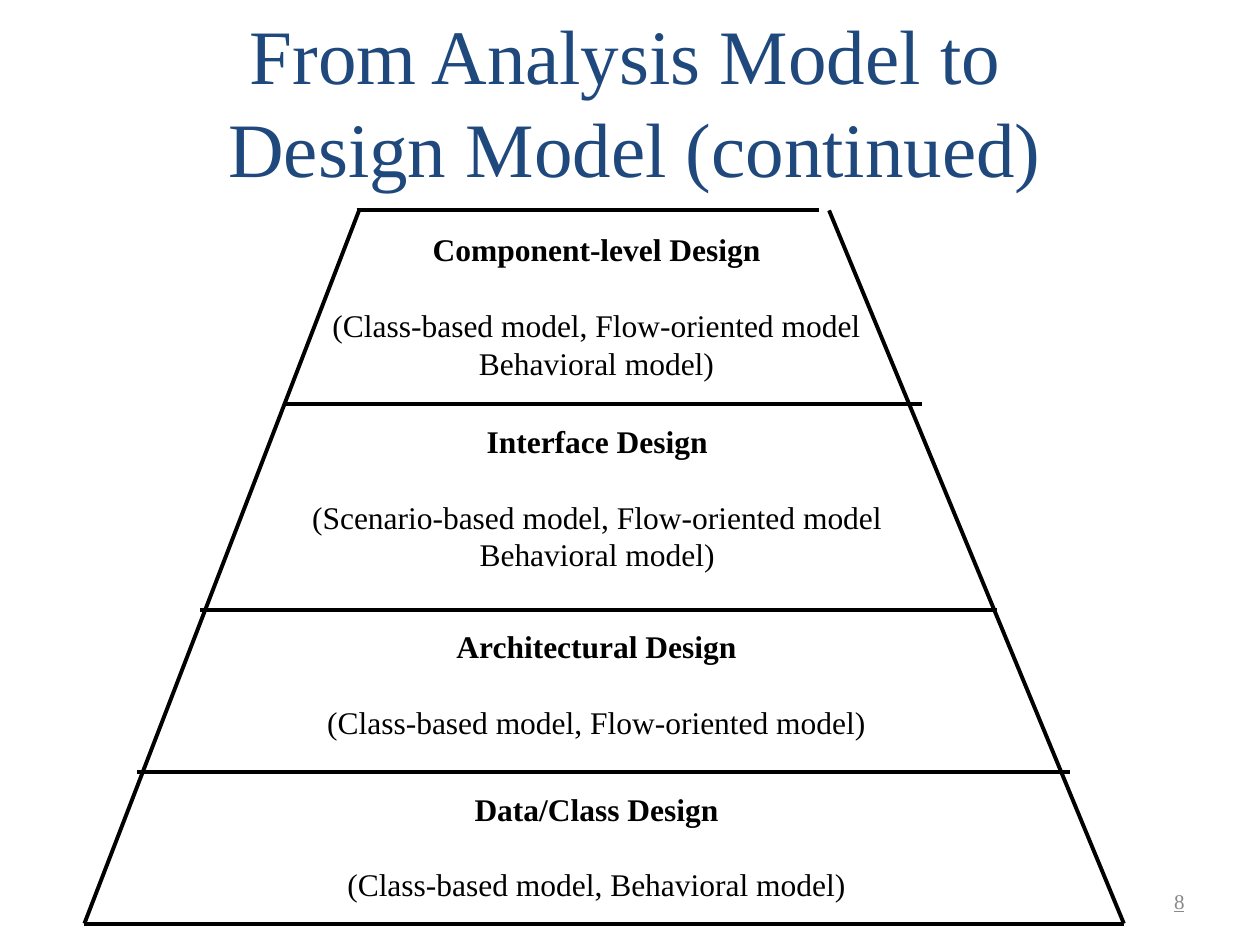
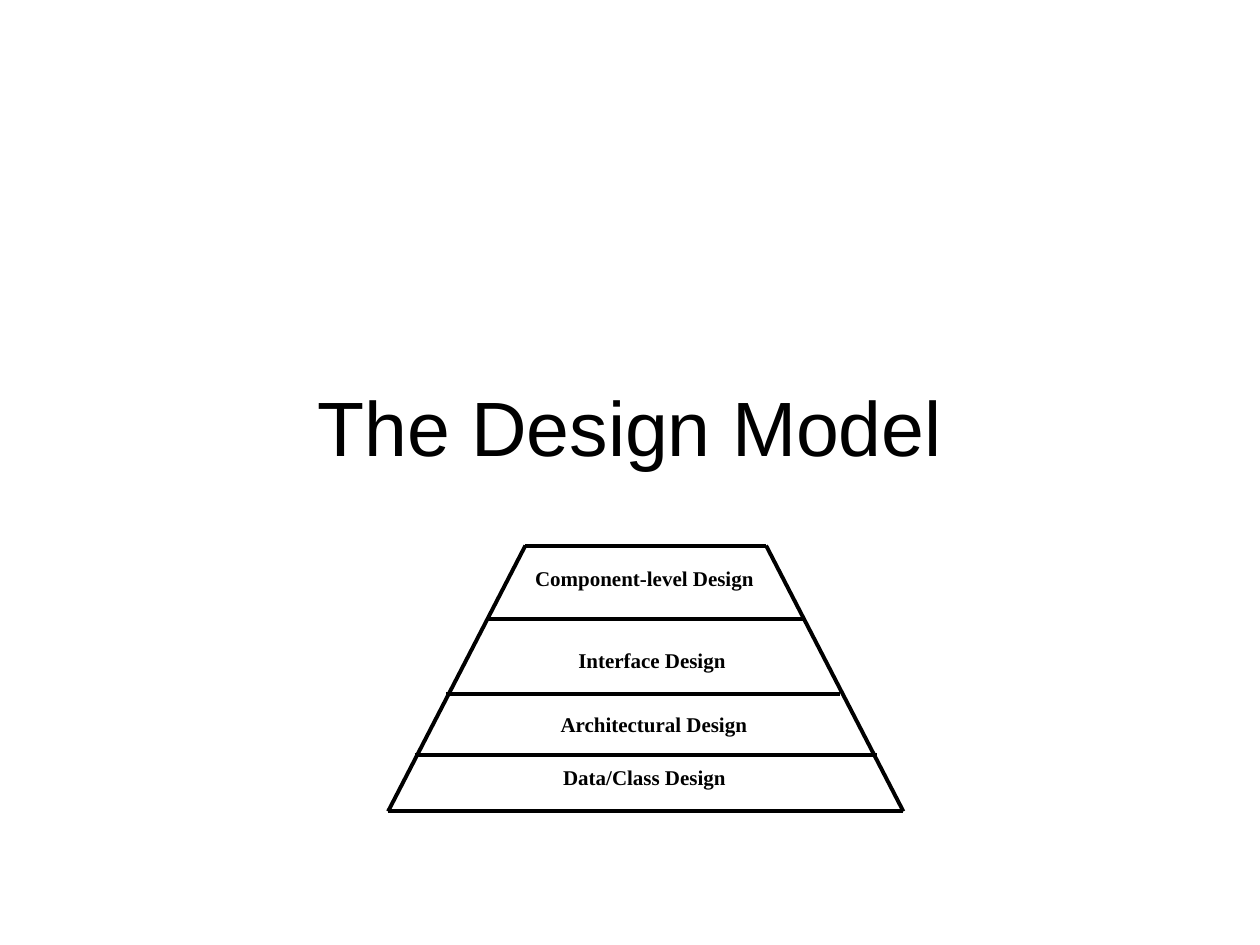
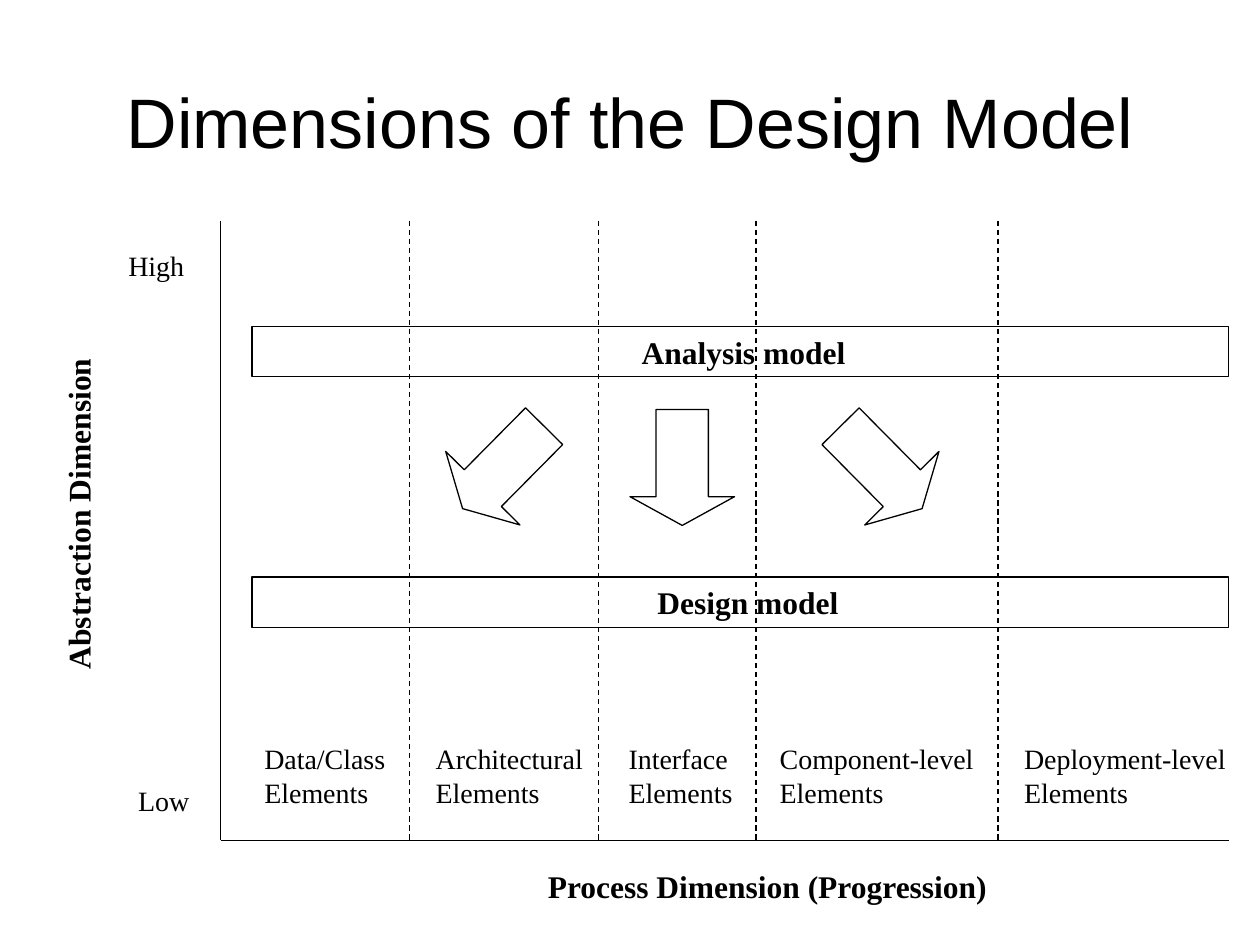
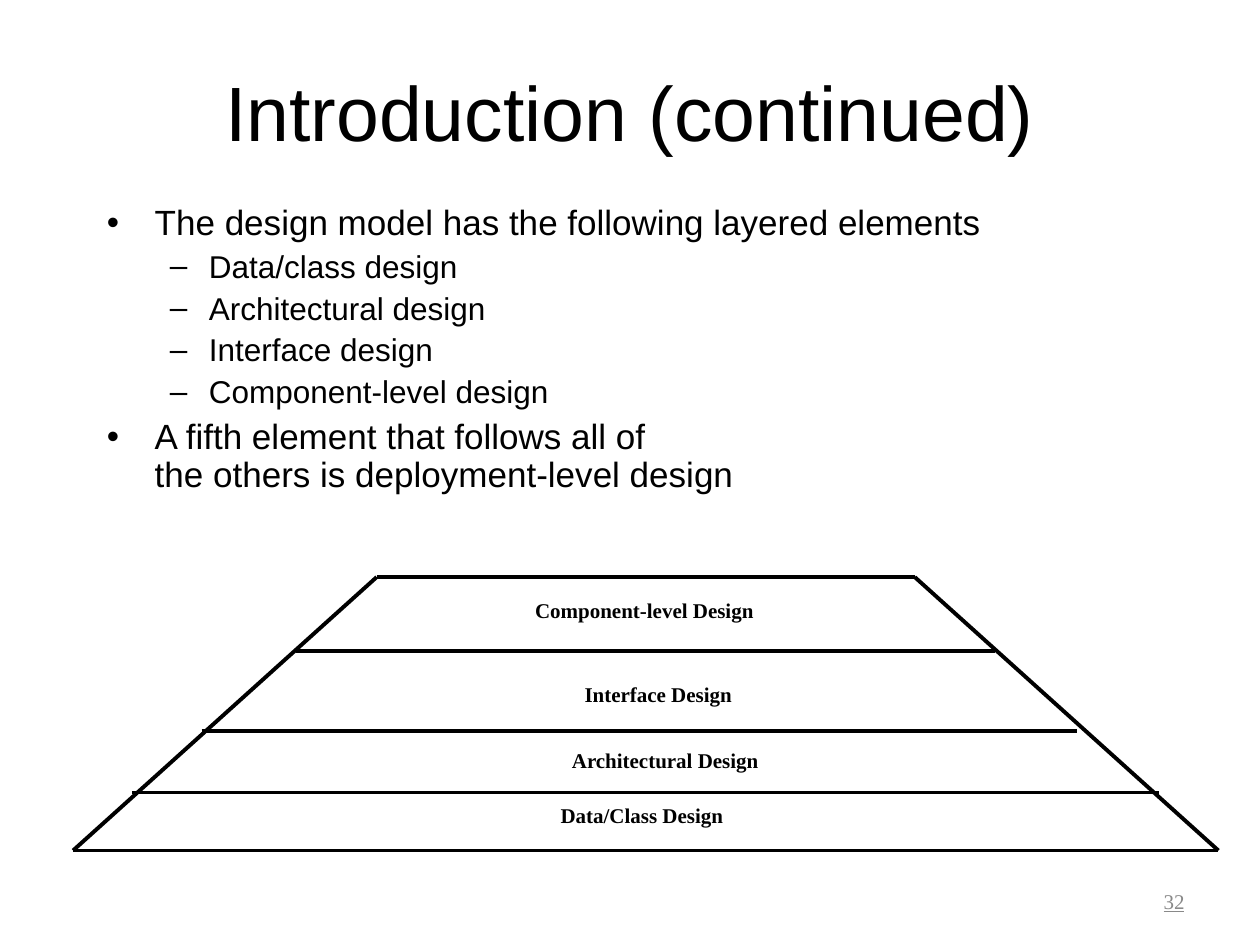
from pptx import Presentation
from pptx.dml.color import RGBColor
from pptx.enum.dml import MSO_LINE
from pptx.enum.shapes import MSO_CONNECTOR, MSO_SHAPE
from pptx.enum.text import MSO_ANCHOR, MSO_AUTO_SIZE, PP_ALIGN
from pptx.oxml.ns import qn
from pptx.util import Inches, Pt
from lxml.etree import SubElement

HUES = {"ink": "000000", "head": "1F497D", "page": "898989"}
SERIF, SANS = "Times New Roman", "Arial"
ALIGN = {"l": PP_ALIGN.LEFT, "c": PP_ALIGN.CENTER, "r": PP_ALIGN.RIGHT}


def text(slide, words, x, y, w, h, size=18, font=SERIF, hue="ink", bold=False,
         under=None, align="c", mid=False, wrap=True, gap=0, turn=0,
         frame=False, inset=0.1):
    """Write one paragraph per item; bold marks the first one only."""
    box = [Inches(n) for n in (x, y, w, h)]
    if frame:
        shape = slide.shapes.add_shape(MSO_SHAPE.RECTANGLE, *box)
        shape.shadow.inherit = False
        shape.fill.background()
        shape.line.color.rgb = RGBColor.from_string(HUES["ink"])
        shape.line.width = Pt(0.75)
    else:
        shape = slide.shapes.add_textbox(*box)
    shape.rotation = turn
    body = shape.text_frame
    body.word_wrap = wrap
    body.auto_size = MSO_AUTO_SIZE.NONE if wrap else MSO_AUTO_SIZE.SHAPE_TO_FIT_TEXT
    body.vertical_anchor = MSO_ANCHOR.MIDDLE if mid else MSO_ANCHOR.TOP
    body.margin_left = Inches(inset)
    if not wrap:  # spare room keeps tight labels on one line
        body.margin_right = Inches(0.05)
        if align == "c":
            body.margin_left = Inches(0.05)
    for i, item in enumerate(words):
        para = body.paragraphs[0] if i == 0 else body.add_paragraph()
        para.text = item
        para.alignment = ALIGN[align]
        if i == 1 and gap:
            para.space_before = Pt(gap)
        for run in para.runs:
            run.font.name, run.font.size = font, Pt(size)
            run.font.bold, run.font.underline = bold and i == 0, under
            run.font.color.rgb = RGBColor.from_string(HUES[hue])
    return body


def line(slide, x1, y1, x2, y2, width=2.25, dash=False):
    ends = [Inches(n) for n in (x1, y1, x2, y2)]
    rule = slide.shapes.add_connector(MSO_CONNECTOR.STRAIGHT, *ends)
    rule.line.color.rgb = RGBColor.from_string(HUES["ink"])
    rule.line.width = Pt(width)
    if dash:
        rule.line.dash_style = MSO_LINE.DASH
    SubElement(rule._element.spPr, qn("a:effectLst"))


deck = Presentation()
deck.slide_width, deck.slide_height = Inches(10), Inches(7.5)
first, model, dims, intro = [
    deck.slides.add_slide(deck.slide_layouts[6]) for _ in range(4)]

# Titles
text(first, ["From Analysis Model to \nDesign Model (continued)"],
     0.83, 0.17, 8.42, 1.25, size=44, hue="head", mid=True)
for slide, title, y, size in (
        (model, "The Design Model", 2.75, 44),
        (dims, "Dimensions of the Design Model", 0.33, 40),
        (intro, "Introduction (continued)", 0.25, 44)):
    text(slide, [title], 0.75, y, 8.5, 1.25, size=size, font=SANS, mid=True)

# Page numbers
for slide, page in ((first, "8"), (intro, "32")):
    text(slide, [page], 7.17, 6.95, 2.33, 0.4, size=12, hue="page",
         under=True, align="r", mid=True)

# Pyramids: layer labels from top to base, rules as left, right, height
layers = ["Component-level Design", "Interface Design",
          "Architectural Design", "Data/Class Design"]
notes = [["(Class-based model, Flow-oriented model", "Behavioral model)"],
         ["(Scenario-based model, Flow-oriented model", "Behavioral model)"],
         ["(Class-based model, Flow-oriented model)"],
         ["(Class-based model, Behavioral model)"]]
bare = [[]] * 4
pyramids = [
    (first, 18, notes, (2.85, 6.58),
     [(2.54, 1.78, 4.39), (2.38, 3.3, 4.72), (2.5, 4.93, 4.47), (2.66, 6.22, 4.15)],
     [(2.83, 6.5, 1.67), (2.27, 7.32, 3.21), (1.59, 7.91, 4.84),
      (1.09, 8.49, 6.13), (0.67, 8.92, 7.33)]),
    (model, 12, bare, (4.17, 6.08),
     [(4.15, 4.44, 1.93), (4.49, 5.09, 1.37), (4.35, 5.6, 1.68), (4.37, 6.02, 1.49)],
     [(4.17, 6.08, 4.33), (3.88, 6.37, 4.91), (3.54, 6.67, 5.51),
      (3.29, 6.96, 5.99), (3.08, 7.17, 6.44)]),
    (intro, 12, bare, (2.99, 7.26),
     [(4.15, 4.69, 1.93), (4.54, 5.36, 1.37), (4.44, 5.88, 1.68), (4.35, 6.32, 1.49)],
     [(2.99, 7.26, 4.58), (2.35, 7.9, 5.17), (1.6, 8.55, 5.8),
      (1.05, 9.2, 6.29), (0.58, 9.67, 6.75)]),
]
for slide, size, more, tips, spots, rules in pyramids:
    for layer, note, (x, y, w) in zip(layers, more, spots):
        high = 0.7 + 0.3 * len(note) if note else 0.5
        text(slide, [layer] + note, x, y, w, high, size=size, bold=True,
             wrap=False, gap=21.6)
    for left, right, y in rules:
        line(slide, left, y, right, y)
    top, base = rules[0][2], rules[-1]
    for tip, foot in zip(tips, base):
        line(slide, tip, top, foot, base[2])

# Dimensions: axis names and scale
text(dims, ["Process Dimension (Progression)"], 4.25, 6.83, 3.7, 0.4,
     bold=True, align="l", wrap=False)
text(dims, ["Abstraction Dimension"], -0.71, 3.88, 2.66, 0.4,
     bold=True, align="l", wrap=False, turn=270)
text(dims, ["Low"], 1, 6.17, 0.6, 0.37, size=16, wrap=False)
text(dims, ["High"], 0.92, 1.92, 0.64, 0.37, size=16, wrap=False)

# Dimensions: element columns
for name, x, w in (("Data/Class", 2, 1.16), ("Architectural", 3.36, 1.37),
                   ("Interface", 4.89, 1.02), ("Component-level", 6.09, 1.74),
                   ("Deployment-level", 8.03, 1.8)):
    text(dims, [name, "Elements"], x, 5.84, w, 0.64, size=16, align="l", wrap=False)

# Dimensions: model bars, dividers and axes
for name, y, inset in (("Analysis model", 2.59, 0.15), ("Design model", 4.58, 0.22)):
    text(dims, [name], 2, y, 7.75, 0.4, bold=True, frame=True, inset=inset)
for x in (3.25, 4.75, 6, 7.92):
    line(dims, x, 1.75, x, 6.67, width=0.75, dash=True)
line(dims, 1.75, 1.75, 1.75, 6.67, width=0.75)
line(dims, 1.75, 6.67, 9.75, 6.67, width=0.75)

# Dimensions: arrows from analysis to design
for x, turn in ((3.58, 44.7), (5, 0), (6.58, 315.3)):
    arrow = dims.shapes.add_shape(MSO_SHAPE.DOWN_ARROW, Inches(x), Inches(3.25),
                                  Inches(0.83), Inches(0.92))
    arrow.adjustments[0], arrow.adjustments[1] = 0.5, 0.275
    arrow.rotation = turn
    arrow.shadow.inherit = False
    arrow.fill.background()
    arrow.line.color.rgb = RGBColor.from_string(HUES["ink"])
    arrow.line.width = Pt(0.75)

# Introduction: bullets on two levels
points = [(0, "The design model has the following layered elements"),
          (1, "Data/class design"), (1, "Architectural design"),
          (1, "Interface design"), (1, "Component-level design"),
          (0, "A fifth element that follows all of\n"
              "the others is deployment-level design")]
levels = [("•", 0.38, 0.38, 20, 5), ("–", 0.81, 0.31, 18, 4.5)]
body = text(intro, [item for _, item in points], 0.75, 1.58, 8.5, 4.5,
            font=SANS, align="l")
for i, (para, (level, _)) in enumerate(zip(body.paragraphs, points)):
    mark, left, hang, size, space = levels[level]
    para.level, para.line_spacing = level, 0.9
    if i:
        para.space_before = Pt(space)
    props = para._p.get_or_add_pPr()
    props.set("marL", str(Inches(left)))
    props.set("indent", str(-Inches(hang)))
    SubElement(props, qn("a:buFont")).set("typeface", SANS)
    SubElement(props, qn("a:buChar")).set("char", mark)
    for run in para.runs:
        run.font.size = Pt(size)

deck.save("out.pptx")
